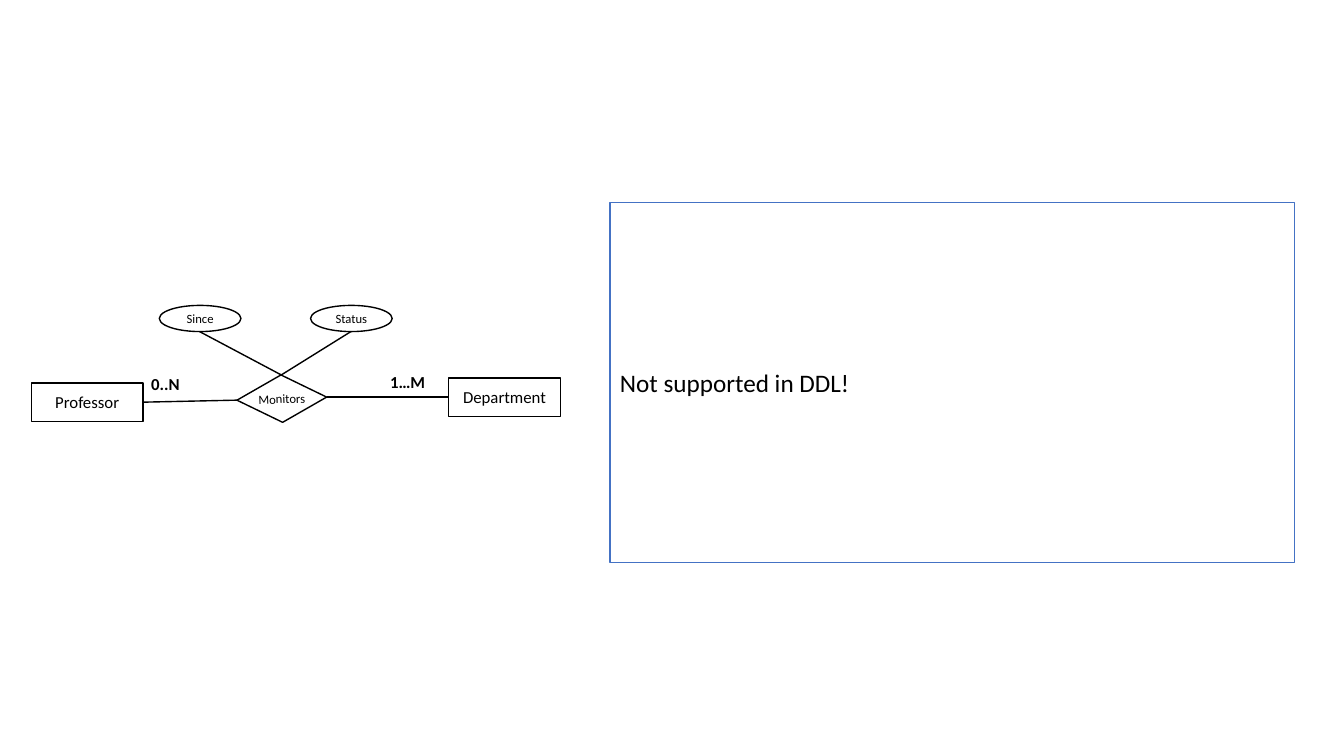
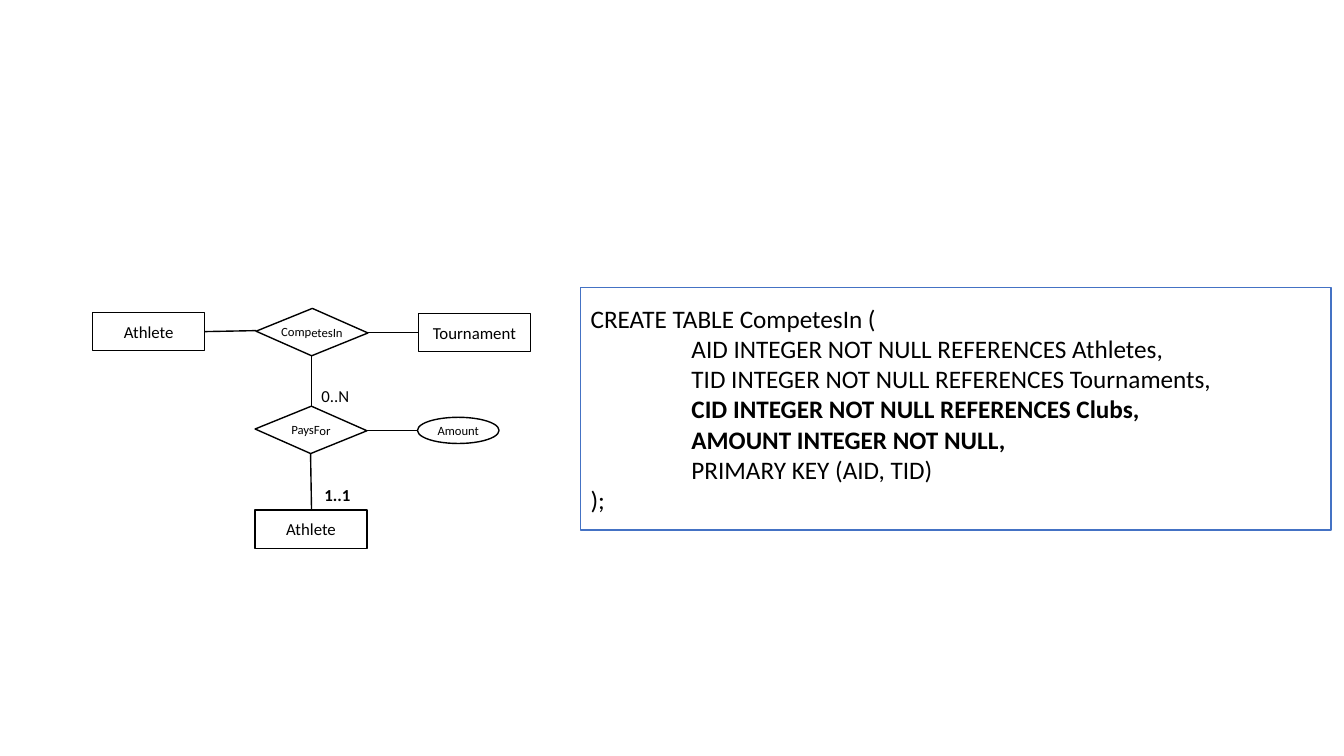
import pptx
import pptx.util
import pptx.dml.color
import pptx.enum.shapes
import pptx.enum.text
import pptx.oxml

Inches = pptx.util.Inches
SHAPES = pptx.enum.shapes.MSO_SHAPE
ALIGN = pptx.enum.text.PP_ALIGN

COLORS = {"ink": "000000", "paper": "FFFFFF", "frame": "4472C4"}
FONT = "Calibri"
ENTITY_SIZE = (1.11, 0.38)
ATTRIBUTE_SIZE = (0.81, 0.26)
DIAMOND_HEIGHT = 0.47

# Entities and attributes: name, left, top
# Relations: name, left, top, width, rotation
# Lines: from x, from y, to x, to y
# Labels: text, left, top, width, bold
# Code lines: text, indent level, bold
PAGES = [
    {
        "entities": [("Professor", 0.31, 3.8), ("Department", 4.45, 3.75)],
        "attributes": [("Since", 1.58, 3.03), ("Status", 3.08, 3.03)],
        "relations": [("Monitors", 2.35, 3.72, 0.89, -2)],
        "lines": [
            (4.45, 3.94, 3.24, 3.94),
            (2.35, 3.97, 1.42, 3.99),
            (2.79, 3.72, 1.98, 3.29),
            (2.79, 3.72, 3.48, 3.29),
        ],
        "labels": [("0..N", 1.4, 3.66, 0.49, True), ("1…M", 3.77, 3.64, 0.55, True)],
        "panel": (6.05, 2.01, 6.79, 3.57),
        "code": [("Not supported in DDL!", 0, False)],
    },
    {
        "entities": [
            ("Athlete", 0.92, 3.1),
            ("Tournament", 4.15, 3.11),
            ("Athlete", 2.53, 5.06),
        ],
        "attributes": [("Amount", 4.14, 4.14)],
        "relations": [
            ("CompetesIn", 2.54, 3.06, 1.11, 0.9),
            ("PaysFor", 2.53, 4.03, 1.11, 0.9),
        ],
        "lines": [
            (4.15, 3.3, 3.64, 3.3),
            (2.54, 3.28, 2.03, 3.29),
            (4.14, 4.27, 3.64, 4.27),
            (3.08, 4.49, 3.09, 5.06),
            (3.09, 3.52, 3.09, 4.03),
        ],
        "labels": [("1..1", 3.12, 4.76, 0.46, True), ("0..N", 3.09, 3.78, 0.48, False)],
        "panel": (5.76, 2.85, 7.44, 2.41),
        "code": [
            ("CREATE TABLE CompetesIn (", 0, False),
            ("AID INTEGER NOT NULL REFERENCES Athletes,", 1, False),
            ("TID INTEGER NOT NULL REFERENCES Tournaments,", 1, False),
            ("CID INTEGER NOT NULL REFERENCES Clubs,", 1, True),
            ("AMOUNT INTEGER NOT NULL,", 1, True),
            ("PRIMARY KEY (AID, TID)", 1, False),
            (");", 0, False),
        ],
    },
]


def write(para, text, size, bold=False, align=ALIGN.LEFT):
    para.text = text
    para.alignment = align
    font = para.runs[0].font
    font.name = FONT
    font.size = pptx.util.Pt(size)
    font.bold = bold
    font.color.rgb = pptx.dml.color.RGBColor.from_string(COLORS["ink"])


def add_box(page, preset, bounds, line_color):
    """Add a white outlined shape whose text is centred vertically."""
    box = page.shapes.add_shape(preset, *map(Inches, bounds))
    box.shadow.inherit = False
    box.fill.solid()
    box.fill.fore_color.rgb = pptx.dml.color.RGBColor.from_string(COLORS["paper"])
    box.line.color.rgb = pptx.dml.color.RGBColor.from_string(COLORS[line_color])
    box.line.width = pptx.util.Pt(1)
    box.text_frame.vertical_anchor = pptx.enum.text.MSO_ANCHOR.MIDDLE
    return box


deck = pptx.Presentation()
deck.slide_width = Inches(13.33)
deck.slide_height = Inches(7.5)
blank_layout = deck.slide_layouts[6]

for content in PAGES:
    page = deck.slides.add_slide(blank_layout)

    for x1, y1, x2, y2 in content["lines"]:
        line = page.shapes.add_connector(
            pptx.enum.shapes.MSO_CONNECTOR.STRAIGHT,
            Inches(x1), Inches(y1), Inches(x2), Inches(y2),
        )
        line.line.color.rgb = pptx.dml.color.RGBColor.from_string(COLORS["ink"])
        line.line.width = pptx.util.Pt(1)
        effects = pptx.oxml.parse_xml(
            '<a:effectLst xmlns:a="http://schemas.openxmlformats.org/drawingml/2006/main"/>'
        )
        line._element.spPr.append(effects)

    nodes = [
        (SHAPES.RECTANGLE, name, (left, top, *ENTITY_SIZE), 12, 0)
        for name, left, top in content["entities"]
    ]
    nodes += [
        (SHAPES.OVAL, name, (left, top, *ATTRIBUTE_SIZE), 9, 0)
        for name, left, top in content["attributes"]
    ]
    nodes += [
        (SHAPES.DIAMOND, name, (left, top, width, DIAMOND_HEIGHT), 9, rotation)
        for name, left, top, width, rotation in content["relations"]
    ]
    for preset, name, bounds, size, rotation in nodes:
        node = add_box(page, preset, bounds, "ink")
        node.rotation = rotation
        node.text_frame.word_wrap = False
        write(node.text_frame.paragraphs[0], name, size, align=ALIGN.CENTER)

    for text, left, top, width, bold in content["labels"]:
        label = page.shapes.add_textbox(
            Inches(left), Inches(top), Inches(width), Inches(0.3)
        )
        label.text_frame.word_wrap = False
        label.text_frame.auto_size = pptx.enum.text.MSO_AUTO_SIZE.SHAPE_TO_FIT_TEXT
        write(label.text_frame.paragraphs[0], text, 12, bold)

    panel = add_box(page, SHAPES.RECTANGLE, content["panel"], "frame")
    panel.text_frame.word_wrap = True
    for index, (text, level, bold) in enumerate(content["code"]):
        frame = panel.text_frame
        para = frame.add_paragraph() if index else frame.paragraphs[0]
        write(para, text, 18, bold)
        para._p.get_or_add_pPr().set("marL", str(Inches(level)))

deck.save("out.pptx")
